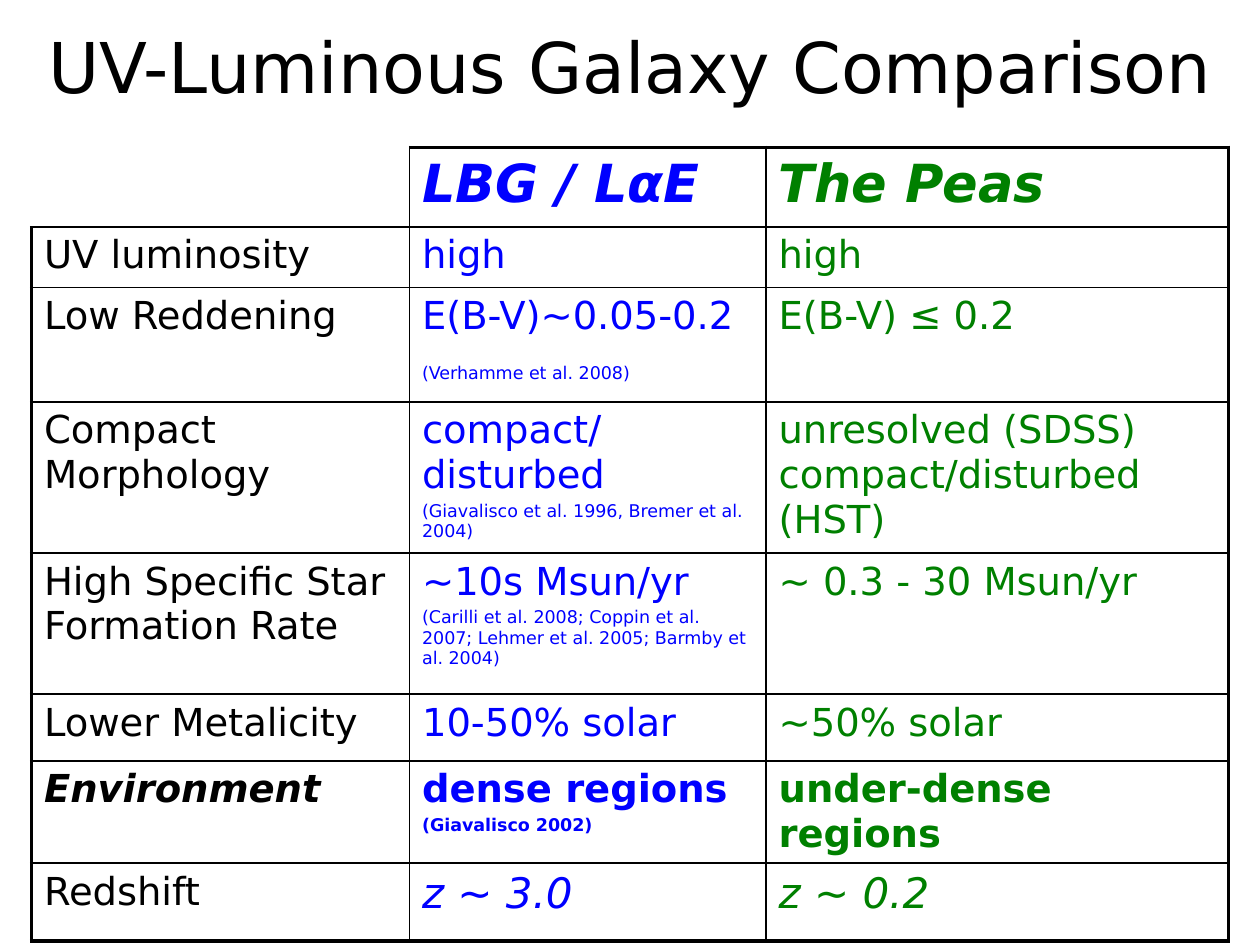
from lxml import etree
from pptx import Presentation
from pptx.dml.color import RGBColor
from pptx.enum import text
from pptx.oxml import ns
from pptx.util import Inches, Pt

FONT = "DejaVu Sans"
BLACK, BLUE, GREEN = "000000", "0000FF", "008000"
TITLE = "UV-Luminous Galaxy Comparison"
COLORS = [BLACK, BLUE, GREEN]
COLS = [3, 2.83, 3.67]
HEAD = dict(size=30, bold=True, italic=True)
Z = dict(size=24, italic=True)
BOLD = dict(bold=True)
CITE = dict(size=10, before=2)
ROWS = [
    (0.63, [[], [("LBG / LαE", HEAD)], [("The Peas", HEAD)]]),
    (0.48, [[("UV luminosity", {})], [("high", {})], [("high", {})]]),
    (0.91, [[("Low Reddening", {})],
            [("E(B-V)~0.05-0.2", {}),
             ("(Verhamme et al. 2008)", dict(size=10, before=14.5))],
            [("E(B-V) ≤ 0.2", {})]]),
    (1.2, [[("Compact Morphology", {})],
           [("compact/disturbed", {}),
            ("(Giavalisco et al. 1996, Bremer et al. 2004)", CITE)],
           [("unresolved (SDSS)", {}), ("compact/disturbed (HST)", {})]]),
    (1.12, [[("High Specific Star Formation Rate", {})],
            [("~10s Msun/yr", {}),
             ("(Carilli et al. 2008; Coppin et al. 2007; Lehmer et al. 2005; "
              "Barmby et al. 2004)", CITE)],
            [("~ 0.3 - 30 Msun/yr", {})]]),
    (0.53, [[("Lower Metalicity", {})], [("10-50% solar", {})], [("~50% solar", {})]]),
    (0.81, [[("Environment", dict(bold=True, italic=True))],
            [("dense regions", BOLD), ("(Giavalisco 2002)", {**CITE, **BOLD})],
            [("under-dense regions", BOLD)]]),
    (0.62, [[("Redshift", {})], [("z ~ 3.0", Z)], [("z ~ 0.2", Z)]]),
]


def style(p, color, size=22, bold=False, italic=False, before=0):
    p.space_before = Pt(before)
    for r in p.runs:
        values = dict(name=FONT, size=Pt(size), bold=bold, italic=italic)
        for key, value in values.items():
            setattr(r.font, key, value)
        r.font.color.rgb = RGBColor.from_string(color)


def border(cell, side, width):
    tcPr = cell._tc.get_or_add_tcPr()
    ln = etree.SubElement(tcPr, ns.qn("a:ln" + side), w=str(Pt(width)))
    if not width:
        etree.SubElement(ln, ns.qn("a:noFill"))
        return
    fill = etree.SubElement(ln, ns.qn("a:solidFill"))
    etree.SubElement(fill, ns.qn("a:srgbClr"), val=BLACK)


def fill_cell(cell, paragraphs, color):
    tf = cell.text_frame
    for i, (line, fmt) in enumerate(paragraphs):
        p = tf.add_paragraph() if i else tf.paragraphs[0]
        p.add_run().text = line
        style(p, color, **fmt)


def edges(row, col):
    corner = row == col == 0
    outer = 0 if corner else 2.25
    return {
        "L": 1 if col else outer,
        "R": 2.25 if col == len(COLS) - 1 else 1,
        "T": 1 if row else outer,
        "B": 2.25 if row == len(ROWS) - 1 else 1,
    }


def main():
    prs = Presentation()
    prs.slide_width, prs.slide_height = Inches(10), Inches(7.5)
    s = prs.slides.add_slide(prs.slide_layouts[5])

    title = s.shapes.title
    title.left, title.top, title.width, title.height = map(Inches, (0, 0.02, 10, 1))
    tf = title.text_frame
    tf.text = TITLE
    tf.vertical_anchor = text.MSO_ANCHOR.MIDDLE
    p = tf.paragraphs[0]
    p.alignment = text.PP_ALIGN.CENTER
    style(p, BLACK, size=40)

    height = sum(h for h, cells in ROWS)
    frame = s.shapes.add_table(len(ROWS), len(COLS), Inches(0.25), Inches(1.17),
                               Inches(sum(COLS)), Inches(height))
    table = frame.table
    table.first_row = table.horz_banding = False
    for column, width in zip(table.columns, COLS):
        column.width = Inches(width)
    for i, (h, cells) in enumerate(ROWS):
        table.rows[i].height = Inches(h)
        for j, paragraphs in enumerate(cells):
            cell = table.cell(i, j)
            fill_cell(cell, paragraphs, COLORS[j])
            for side, width in edges(i, j).items():
                border(cell, side, width)
            cell.fill.background()

    prs.save("out.pptx")


if __name__ == "__main__":
    main()
